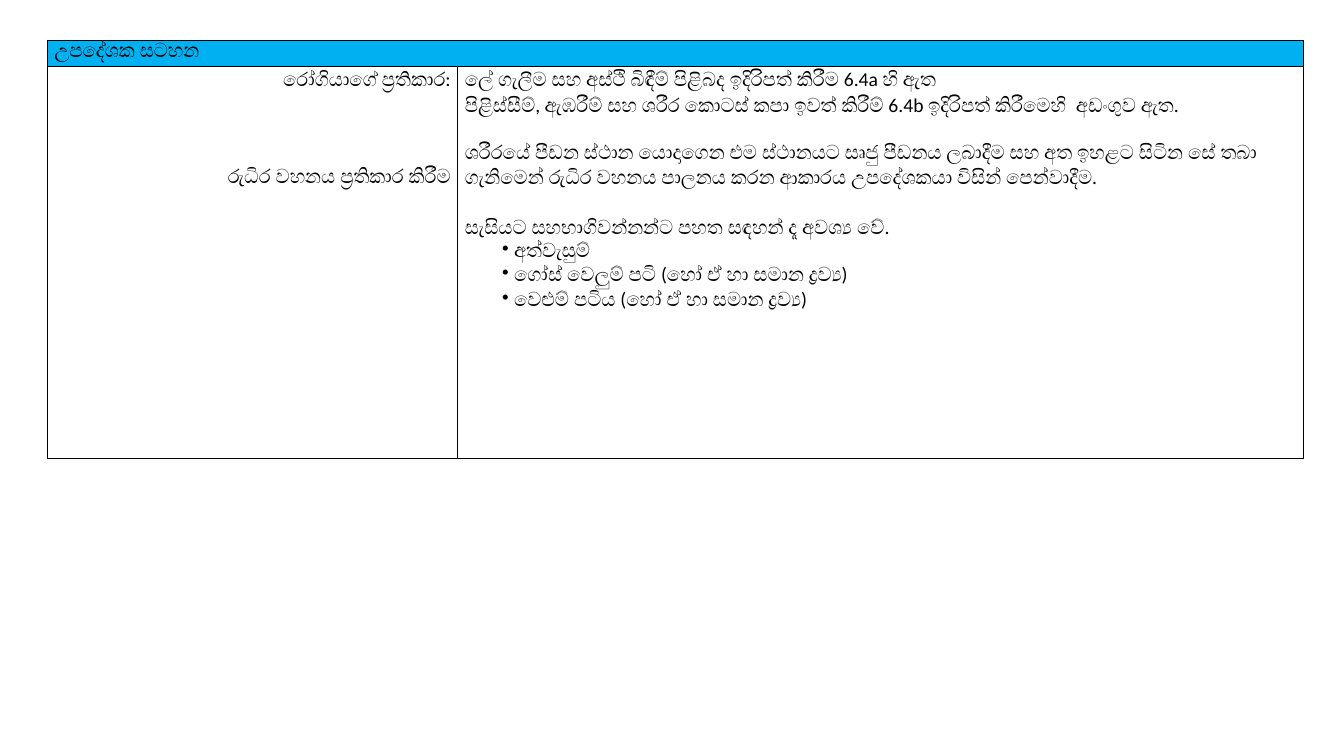
import pptx
import pptx.util
import pptx.dml.color
import pptx.enum.text
import pptx.oxml
import pptx.oxml.ns
import lxml.etree

Inches = pptx.util.Inches
Pt = pptx.util.Pt
ALIGN = pptx.enum.text.PP_ALIGN
COLORS = {"head": "00B0F0", "ink": "000000"}
JOIN = chr(0x200D)  # zero-width joiner for Sinhala conjuncts

HEAD = "උපදේශක සටහන"
TOPICS = [
    (f"රෝගියාගේ ප්{JOIN}රතිකාර:", {}),
    (f"රුධිර වහනය ප්{JOIN}රතිකාර කිරීම", {"before": 53}),
]
NOTES = [
    ("ලේ ගැලීම සහ අස්ථි බිඳීම් පිළිබද ඉදිරිපත් කිරීම 6.4a හි ඇත", {}),
    ("පිළිස්සීම්, ඇඹරීම් සහ ශරීර කොටස් කපා ඉවත් කිරීම් 6.4b ඉදිරිපත් කිරීමෙහි  අඩංගුව ඇත.", {}),
    ("ශරීරයේ පීඩන ස්ථාන යොදාගෙන එම ස්ථානයට සෘජු පීඩනය ලබාදීම සහ අත ඉහළට සිටින සේ තබා "
     "ගැනිමෙන් රුධිර වහනය පාලනය කරන ආකාරය උපදේශකයා විසින් පෙන්වාදීම.", {"before": 18}),
    (f"සැසියට සහභාගිවන්නන්ට පහත සඳහන් දෑ අවශ්{JOIN}ය වේ.", {"before": 18}),
    ("අත්වැසුම්", {"bullet": True}),
    (f"ගෝස් වෙලුම් පටි (හෝ ඒ හා සමාන ද්{JOIN}රව්{JOIN}ය)", {"bullet": True}),
    (f"වෙළුම් පටිය (හෝ ඒ හා සමාන ද්{JOIN}රව්{JOIN}ය)", {"bullet": True}),
]


def rgb(name):
    return pptx.dml.color.RGBColor.from_string(COLORS[name])


def write(para, text, align=ALIGN.LEFT, before=0, bullet=False):
    if bullet:
        props = para._p.get_or_add_pPr()
        props.set("marL", str(Inches(0.49)))
        props.set("indent", str(Inches(-0.12)))
        mark = lxml.etree.SubElement(props, pptx.oxml.ns.qn("a:buChar"))
        mark.set("char", "•")
    para.alignment = align
    para.line_spacing = 1.07
    para.space_before = Pt(before)
    run = para.add_run()
    run.text = text
    run.font.name = "Calibri"
    run.font.size = Pt(14)
    run.font.color.rgb = rgb("ink")


def fill_cell(cell, items, align=ALIGN.LEFT):
    frame = cell.text_frame
    for i, (text, form) in enumerate(items):
        para = frame.add_paragraph() if i else frame.paragraphs[0]
        write(para, text, align=align, **form)


def style_cell(cell, color=None):
    """Set margins, black borders and fill."""
    cell.margin_left = cell.margin_right = Inches(0.07)
    cell.margin_top = cell.margin_bottom = 0
    props = cell._tc.get_or_add_tcPr()
    for side in "LRTB":
        props.append(pptx.oxml.parse_xml(
            f'<a:ln{side} {pptx.oxml.ns.nsdecls("a")} w="{Pt(1)}"><a:solidFill>'
            f'<a:srgbClr val="{COLORS["ink"]}"/></a:solidFill></a:ln{side}>'))
    if color:
        cell.fill.solid()
        cell.fill.fore_color.rgb = rgb(color)
    else:
        cell.fill.background()


def add_notes(slide, left, top, width, height):
    """Place the instructor notes table in the given box."""
    bar, split = 0.26, 4.07
    table = slide.shapes.add_table(
        2, 2, Inches(left), Inches(top), Inches(width), Inches(height)).table
    table.first_row = table.horz_banding = False
    for col, size in zip(table.columns, (split, width - split)):
        col.width = Inches(size)
    for row, size in zip(table.rows, (bar, height - bar)):
        row.height = Inches(size)
    for col in range(2):
        style_cell(table.cell(0, col), "head")
        style_cell(table.cell(1, col))
    table.cell(0, 0).merge(table.cell(0, 1))
    fill_cell(table.cell(0, 0), [(HEAD, {})])
    fill_cell(table.cell(1, 0), TOPICS, ALIGN.RIGHT)
    fill_cell(table.cell(1, 1), NOTES)


def main():
    deck = pptx.Presentation()
    deck.slide_width, deck.slide_height = Inches(13.33), Inches(7.5)
    slide = deck.slides.add_slide(deck.slide_layouts[6])
    add_notes(slide, 0.47, 0.4, 12.46, 4.15)
    deck.save("out.pptx")


if __name__ == "__main__":
    main()
